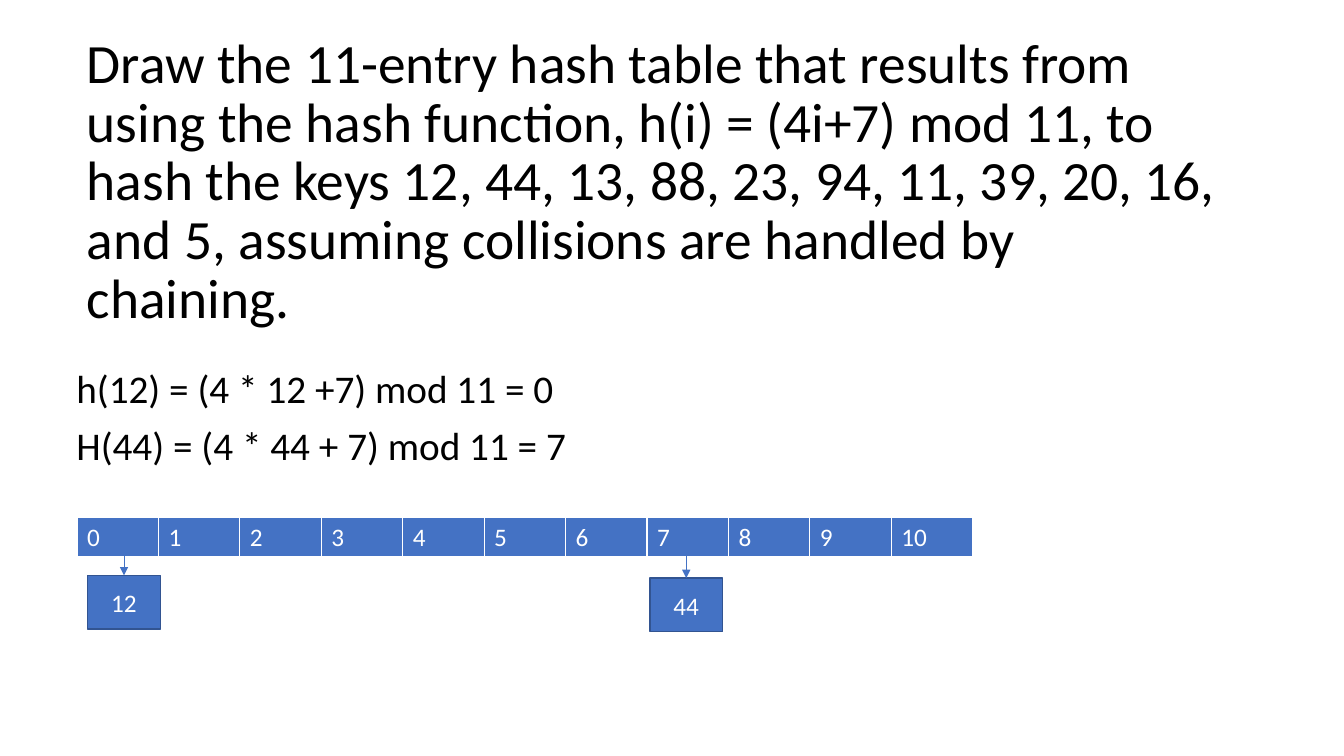
import pptx
import pptx.util
import pptx.dml.color
import pptx.enum.shapes
import pptx.enum.text
import pptx.oxml.ns
from lxml import etree

Pt = pptx.util.Pt
Align = pptx.enum.text.PP_ALIGN
Anchor = pptx.enum.text.MSO_ANCHOR
TOP_SIDE = 0

QUESTION = (
    "Draw the 11-entry hash table that results from using the hash function, "
    "h(i) = (4i+7) mod 11, to hash the keys 12, 44, 13, 88, 23, 94, 11, 39, 20, 16, "
    "and 5, assuming collisions are handled by chaining."
)
WORKINGS = ["h(12) = (4 * 12 +7) mod 11 = 0", "H(44) = (4 * 44 + 7) mod 11 = 7"]
SLOTS = [str(slot) for slot in range(11)]
CHAINED_KEYS = [("12", 62.6, 411), ("44", 464.2, 412.9)]  # key, left, top

FONT = "Calibri"
BLACK, WHITE = "000000", "FFFFFF"
BLUE, DARK_BLUE = "4472C4", "325491"
TABLE_LEFT, TABLE_TOP, SLOT_WIDTH, SLOT_HEIGHT = 55, 369.4, 58.18, 29.2
KEY_WIDTH, KEY_HEIGHT = 52, 38.4
ARROW_TOP = 395.3


def rgb(value):
    return pptx.dml.color.RGBColor.from_string(value)


def add_run(paragraph, text, size, color):
    run = paragraph.add_run()
    run.text = text
    run.font.name, run.font.size, run.font.bold = FONT, Pt(size), False
    run.font.color.rgb = rgb(color)


def add_text(slide, lines, box, size, line_spacing, anchor, gap=0):
    frame = slide.shapes.add_textbox(*map(Pt, box)).text_frame
    frame.word_wrap = True
    frame.vertical_anchor = anchor
    for index, line in enumerate(lines):
        paragraph = frame.add_paragraph() if index else frame.paragraphs[0]
        paragraph.line_spacing = line_spacing
        paragraph.space_before = Pt(gap if index else 0)
        add_run(paragraph, line, size, BLACK)


def set_borders(cell):
    """Give the cell white edges, the bottom one thicker."""
    properties = cell._tc.get_or_add_tcPr()
    for position, (edge, width) in enumerate(
        [("lnL", 1), ("lnR", 1), ("lnT", 1), ("lnB", 3)]
    ):
        line = etree.Element(pptx.oxml.ns.qn("a:" + edge), w=str(Pt(width)))
        fill = etree.SubElement(line, pptx.oxml.ns.qn("a:solidFill"))
        etree.SubElement(fill, pptx.oxml.ns.qn("a:srgbClr"), val=WHITE)
        properties.insert(position, line)


def add_hash_table(slide):
    box = (TABLE_LEFT, TABLE_TOP, SLOT_WIDTH * len(SLOTS), SLOT_HEIGHT)
    table = slide.shapes.add_table(1, len(SLOTS), *map(Pt, box)).table
    table.horz_banding = False
    for column, slot in enumerate(SLOTS):
        table.columns[column].width = Pt(SLOT_WIDTH)
        cell = table.cell(0, column)
        cell.fill.solid()
        cell.fill.fore_color.rgb = rgb(BLUE)
        set_borders(cell)
        add_run(cell.text_frame.paragraphs[0], slot, 18, WHITE)


def add_key(slide, key, left, top):
    node = slide.shapes.add_shape(
        pptx.enum.shapes.MSO_SHAPE.RECTANGLE,
        *map(Pt, (left, top, KEY_WIDTH, KEY_HEIGHT))
    )
    node.shadow.inherit = False
    node.fill.solid()
    node.fill.fore_color.rgb = rgb(BLUE)
    node.line.color.rgb = rgb(DARK_BLUE)
    node.line.width = Pt(1)
    node.text_frame.vertical_anchor = Anchor.MIDDLE
    paragraph = node.text_frame.paragraphs[0]
    paragraph.alignment = Align.CENTER
    add_run(paragraph, key, 18, WHITE)
    return node


def add_arrow(slide, node, left, top):
    middle = left + KEY_WIDTH / 2
    arrow = slide.shapes.add_connector(
        pptx.enum.shapes.MSO_CONNECTOR.STRAIGHT,
        *map(Pt, (middle, ARROW_TOP, middle, top))
    )
    arrow.end_connect(node, TOP_SIDE)
    arrow.line.color.rgb = rgb(BLUE)
    arrow.line.width = Pt(0.5)
    etree.SubElement(arrow.line._get_or_add_ln(), pptx.oxml.ns.qn("a:tailEnd"), type="triangle")
    etree.SubElement(arrow._element.spPr, pptx.oxml.ns.qn("a:effectLst"))


def main():
    deck = pptx.Presentation()
    deck.slide_width, deck.slide_height = Pt(960), Pt(540)
    slide = deck.slides.add_slide(deck.slide_layouts[6])
    add_text(slide, [QUESTION], (55, 20, 828, 222), 39.6, 0.88, Anchor.MIDDLE)
    add_text(slide, WORKINGS, (47.5, 260.6, 828, 90), 28, 0.9, Anchor.TOP, gap=10)
    add_hash_table(slide)
    nodes = [add_key(slide, *chained) for chained in CHAINED_KEYS]
    for node, (_, left, top) in zip(nodes, CHAINED_KEYS):
        add_arrow(slide, node, left, top)
    deck.save("out.pptx")


if __name__ == "__main__":
    main()
